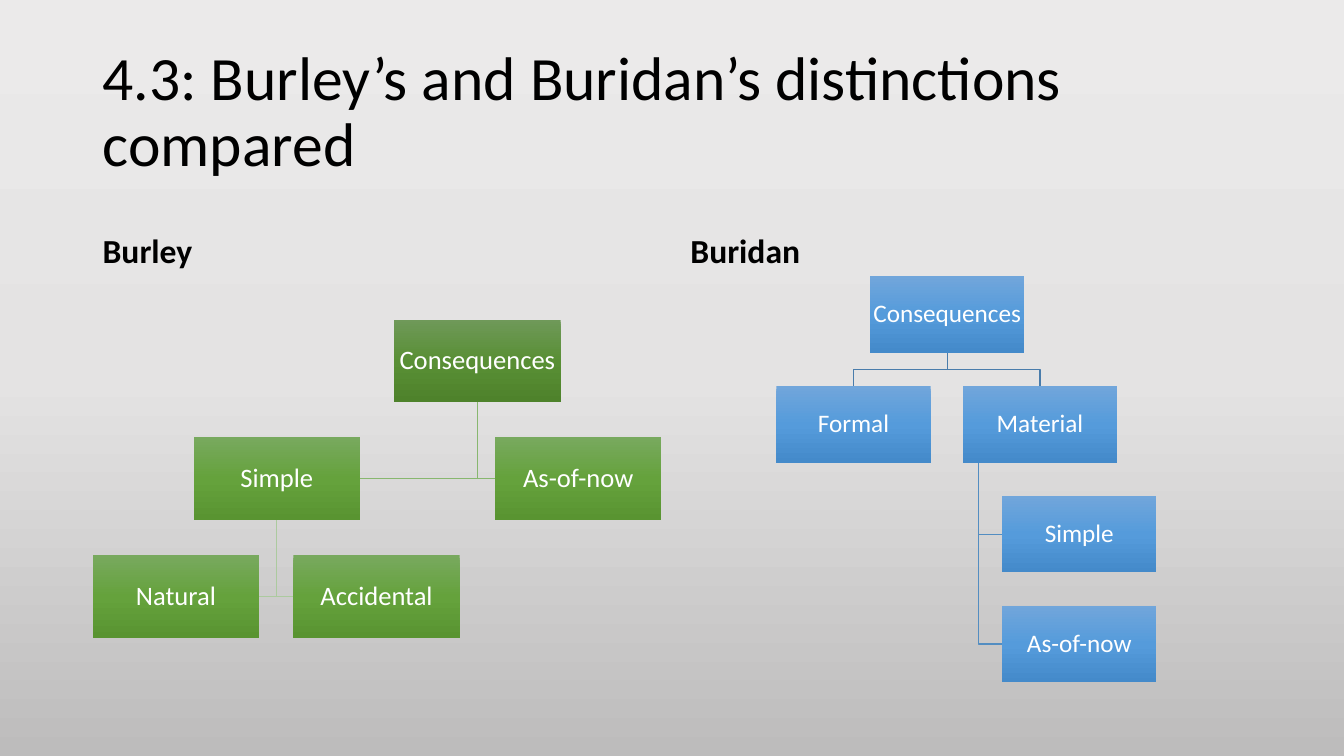
from copy import deepcopy
from dataclasses import dataclass

from pptx import Presentation
from pptx.dml.color import RGBColor
from pptx.enum.shapes import MSO_SHAPE
from pptx.enum.text import MSO_ANCHOR, PP_ALIGN
from pptx.oxml.ns import qn
from pptx.util import Inches, Pt

RECTANGLE = MSO_SHAPE.RECTANGLE
MIDDLE, BOTTOM = MSO_ANCHOR.MIDDLE, MSO_ANCHOR.BOTTOM
LEFT, CENTER = PP_ALIGN.LEFT, PP_ALIGN.CENTER
FONT = "Calibri"
BACKGROUND = ("EBEAEA", "E4E3E3", "BDBCBC")
BLUE = ("71A6DB", "559BDB", "448ACA")
DARK_GREEN = ("6F9959", "598F35", "4E822B")
GREEN = ("78A95E", "65A23C", "599431")
SIDE, BRACKET, HANGING = "side", "bracket", "hanging"


@dataclass
class Heading:
    text: str
    left: float
    top: float
    width: float
    height: float
    size: int
    anchor: MSO_ANCHOR
    bold: bool


@dataclass
class Node:
    text: str
    left: float
    level: int
    gradient: tuple[str, str, str]


@dataclass
class Link:
    parent: int
    child: int
    route: str
    color: str


@dataclass
class Tree:
    top: float
    level_step: float
    width: float
    height: float
    font_size: int
    nodes: list[Node]
    links: list[Link]

    def node_top(self, node: Node) -> float:
        return self.top + node.level * self.level_step


HEADINGS = [
    Heading("4.3: Burley’s and Buridan’s distinctions compared",
            0.92, 0.4, 11.5, 1.45, 44, MIDDLE, False),
    Heading("Burley", 0.92, 1.84, 5.64, 0.9, 24, BOTTOM, True),
    Heading("Buridan", 6.75, 1.84, 5.67, 0.9, 24, BOTTOM, True),
]

BURIDAN = Tree(
    2.74, 1.09, 1.53, 0.76, 18,
    [
        Node("Consequences", 8.63, 0, BLUE),
        Node("Formal", 7.7, 1, BLUE),
        Node("Material", 9.55, 1, BLUE),
        Node("Simple", 9.94, 2, BLUE),
        Node("As-of-now", 9.94, 3, BLUE),
    ],
    [
        Link(2, 4, HANGING, "538DC1"),
        Link(2, 3, HANGING, "538DC1"),
        Link(0, 2, BRACKET, "497CAB"),
        Link(0, 1, BRACKET, "497CAB"),
    ],
)

BURLEY = Tree(
    3.17, 1.17, 1.65, 0.82, 19,
    [
        Node("Consequences", 3.91, 0, DARK_GREEN),
        Node("Simple", 1.92, 1, GREEN),
        Node("Natural", 0.92, 2, GREEN),
        Node("Accidental", 2.91, 2, GREEN),
        Node("As-of-now", 4.91, 1, GREEN),
    ],
    [
        Link(0, 4, SIDE, "88B76F"),
        Link(1, 3, SIDE, "ACCA9F"),
        Link(1, 2, SIDE, "ACCA9F"),
        Link(0, 1, SIDE, "88B76F"),
    ],
)


def rgb(color: str) -> RGBColor:
    return RGBColor.from_string(color)


def set_gradient(fill, owner, colors: tuple[str, str, str]) -> None:
    fill.gradient()
    fill.gradient_angle = 270
    stop_list = next(owner.element.iter(qn("a:gsLst")))
    stop_list.append(deepcopy(stop_list[0]))
    for index, (stop, color) in enumerate(zip(fill.gradient_stops, colors)):
        stop.position = index / 2
        stop.color.rgb = rgb(color)


def write_text(shape, text: str, size: int, color: str, align: PP_ALIGN,
               anchor: MSO_ANCHOR, bold: bool = False) -> None:
    text_frame = shape.text_frame
    text_frame.text = text
    text_frame.word_wrap = True
    text_frame.vertical_anchor = anchor
    paragraph = text_frame.paragraphs[0]
    paragraph.alignment = align
    paragraph.line_spacing = 0.9
    font = paragraph.runs[0].font
    font.name = FONT
    font.size = Pt(size)
    font.bold = bold
    font.color.rgb = rgb(color)


def draw_heading(slide, heading: Heading) -> None:
    box = slide.shapes.add_textbox(Inches(heading.left), Inches(heading.top),
                                   Inches(heading.width), Inches(heading.height))
    write_text(box, heading.text, heading.size, "000000", LEFT,
               heading.anchor, heading.bold)


def route_points(tree: Tree, link: Link) -> list[tuple[float, float]]:
    parent, child = tree.nodes[link.parent], tree.nodes[link.child]
    parent_x = parent.left + tree.width / 2
    parent_bottom = tree.node_top(parent) + tree.height
    child_top = tree.node_top(child)
    child_y = child_top + tree.height / 2
    if link.route == BRACKET:
        child_x = child.left + tree.width / 2
        middle_y = (parent_bottom + child_top) / 2
        return [(parent_x, parent_bottom), (parent_x, middle_y),
                (child_x, middle_y), (child_x, child_top)]
    if link.route == HANGING:
        parent_x = parent.left + tree.width / 10
    child_x = child.left if child.left > parent_x else child.left + tree.width
    return [(parent_x, parent_bottom), (parent_x, child_y), (child_x, child_y)]


def draw_link(slide, tree: Tree, link: Link) -> None:
    start, *rest = [(Inches(x), Inches(y)) for x, y in route_points(tree, link)]
    builder = slide.shapes.build_freeform(*start)
    builder.add_line_segments(rest, close=False)
    shape = builder.convert_to_shape()
    shape.shadow.inherit = False
    shape.fill.background()
    shape.line.color.rgb = rgb(link.color)
    shape.line.width = Pt(1)


def draw_node(slide, tree: Tree, node: Node) -> None:
    shape = slide.shapes.add_shape(RECTANGLE, Inches(node.left),
                                   Inches(tree.node_top(node)),
                                   Inches(tree.width), Inches(tree.height))
    shape.shadow.inherit = False
    shape.line.fill.background()
    set_gradient(shape.fill, shape, node.gradient)
    text_frame = shape.text_frame
    text_frame.margin_left = text_frame.margin_right = Inches(0.01)
    text_frame.margin_top = text_frame.margin_bottom = Inches(0.01)
    write_text(shape, node.text, tree.font_size, "FFFFFF", CENTER, MIDDLE)


def main() -> None:
    presentation = Presentation()
    presentation.slide_width = Inches(13.33)
    presentation.slide_height = Inches(7.5)
    slide = presentation.slides.add_slide(presentation.slide_layouts[6])
    set_gradient(slide.background.fill, slide, BACKGROUND)
    for heading in HEADINGS:
        draw_heading(slide, heading)
    for tree in (BURIDAN, BURLEY):
        for link in tree.links:
            draw_link(slide, tree, link)
        for node in tree.nodes:
            draw_node(slide, tree, node)
    presentation.save("out.pptx")


if __name__ == "__main__":
    main()
